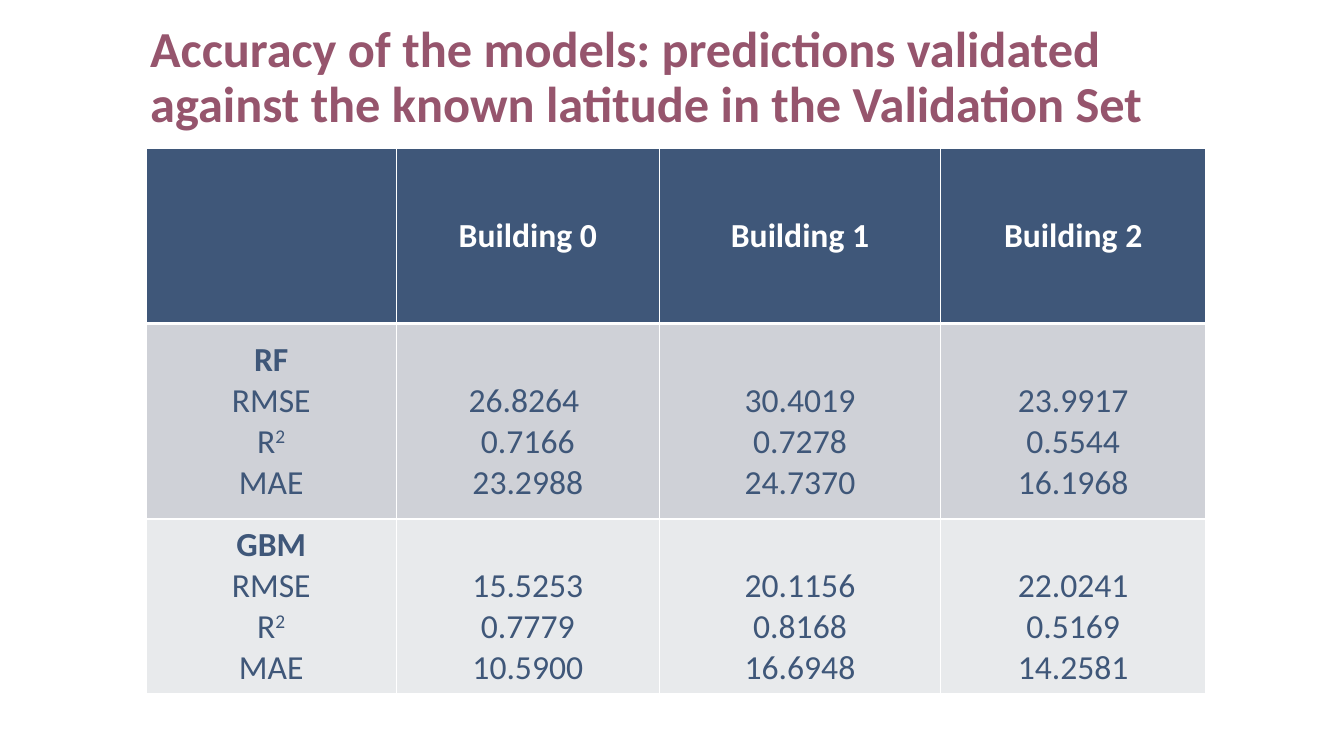
import lxml.etree
import pptx
import pptx.dml.color
import pptx.enum.text
import pptx.oxml.ns
import pptx.util

Inches = pptx.util.Inches
NAVY, PLUM, WHITE = "3F5779", "96556D", "FFFFFF"
HEADS = ["", "Building 0", "Building 1", "Building 2"]
SCORES = ["RMSE", "R²", "MAE"]
MODELS = [
    ("RF", "CFD1D7", [["26.8264 ", "0.7166", "23.2988"],
                      ["30.4019", "0.7278", "24.7370"],
                      ["23.9917", "0.5544", "16.1968"]]),
    ("GBM", "E8EAEC", [["15.5253", "0.7779", "10.5900"],
                       ["20.1156", "0.8168", "16.6948"],
                       ["22.0241", "0.5169", "14.2581"]]),
]


def paint(target, color):
    """Give a font or a solid fill its hex colour."""
    target.rgb = pptx.dml.color.RGBColor.from_string(color)


def style(para, size, color, bold):
    """Set the font of a whole paragraph."""
    font = para.font
    font.name, font.size, font.bold = "Calibri", pptx.util.Pt(size), bold
    paint(font.color, color)


def edge(cell, top, low):
    """Draw white borders, with the given top and bottom widths in points."""
    props = cell._tc.get_or_add_tcPr()
    for side, width in (("L", 1), ("R", 1), ("T", top), ("B", low)):
        line = lxml.etree.SubElement(
            props, pptx.oxml.ns.qn("a:ln" + side), w=str(pptx.util.Pt(width)))
        solid = lxml.etree.SubElement(line, pptx.oxml.ns.qn("a:solidFill"))
        lxml.etree.SubElement(solid, pptx.oxml.ns.qn("a:srgbClr"), val=WHITE)


def write(para, text):
    """Write text, raising a closing square sign as a superscript 2."""
    para.add_run().text = text.removesuffix("²")
    if text.endswith("²"):
        power = para.add_run()
        power.text = "2"
        power._r.get_or_add_rPr().set("baseline", "30000")


def put(cell, lines, fill, color, bolds, top=1, low=1):
    """Fill one table cell with centred lines."""
    edge(cell, top, low)
    cell.fill.solid()
    paint(cell.fill.fore_color, fill)
    cell.vertical_anchor = pptx.enum.text.MSO_ANCHOR.MIDDLE
    frame = cell.text_frame
    for i, text in enumerate(lines):
        para = frame.add_paragraph() if i else frame.paragraphs[0]
        para.alignment = pptx.enum.text.PP_ALIGN.CENTER
        if text:
            write(para, text)
        style(para, 24, color, i < bolds)


def add_title(slide, left, top, width, height):
    """Place the slide title in its box."""
    title = slide.shapes.title
    title.left, title.top = Inches(left), Inches(top)
    title.width, title.height = Inches(width), Inches(height)
    frame = title.text_frame
    frame.text = ("Accuracy of the models: predictions validated "
                  "against the known latitude in the Validation Set")
    frame.word_wrap = True
    frame.auto_size = pptx.enum.text.MSO_AUTO_SIZE.NONE
    frame.vertical_anchor = pptx.enum.text.MSO_ANCHOR.BOTTOM
    frame.margin_left = Inches(0.04)
    frame.margin_top = frame.margin_right = frame.margin_bottom = 0
    para = frame.paragraphs[0]
    para.alignment = pptx.enum.text.PP_ALIGN.LEFT
    para.line_spacing = 0.9
    style(para, 36, PLUM, True)


def add_scores(slide, left, top, widths, heights):
    """Place the table of model scores by building."""
    table = slide.shapes.add_table(
        len(heights), len(widths), Inches(left), Inches(top),
        Inches(sum(widths)), Inches(sum(heights))).table
    for col, width in zip(table.columns, widths):
        col.width = Inches(width)
    for row, height in zip(table.rows, heights):
        row.height = Inches(height)
    for c, head in enumerate(HEADS):
        put(table.cell(0, c), [head], NAVY, WHITE, 1, low=3)
    for r, (model, fill, blocks) in enumerate(MODELS, 1):
        rule = 3 if r == 1 else 1
        put(table.cell(r, 0), [model] + SCORES, fill, NAVY, 1, top=rule)
        for c, block in enumerate(blocks, 1):
            cell = table.cell(r, c)
            put(cell, block, fill, NAVY, 0, top=rule)
            cell.margin_top = Inches(0.46)


def main():
    """Build and save the slide."""
    deck = pptx.Presentation()
    deck.slide_width, deck.slide_height = Inches(13.33), Inches(7.5)
    slide = deck.slides.add_slide(deck.slide_layouts[5])
    add_title(slide, 1.45, 0.18, 10.37, 1.14)
    add_scores(slide, 1.45, 1.47, [2.48, 2.61, 2.79, 2.63], [1.74, 1.94, 1.72])
    deck.save("out.pptx")


if __name__ == "__main__":
    main()
